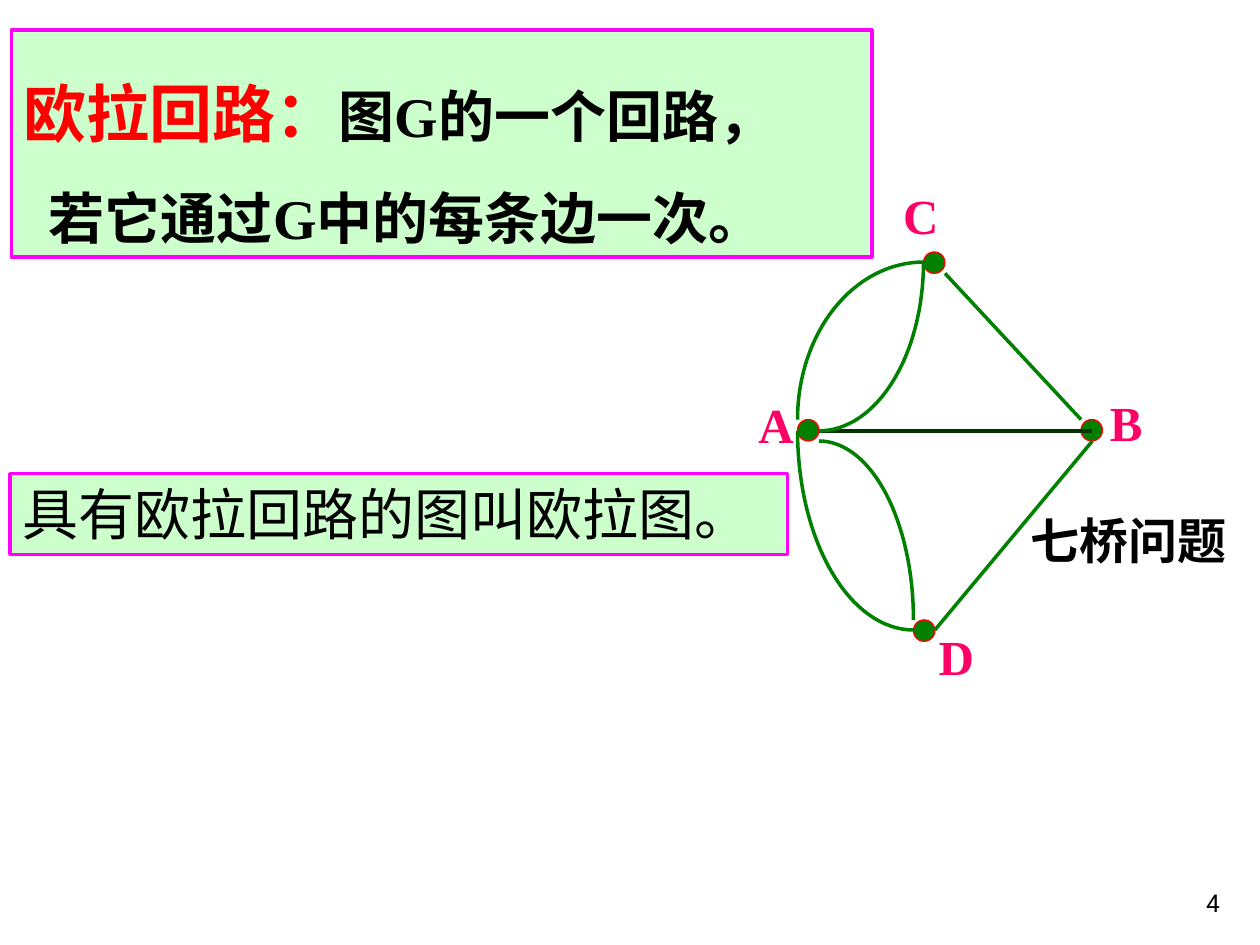
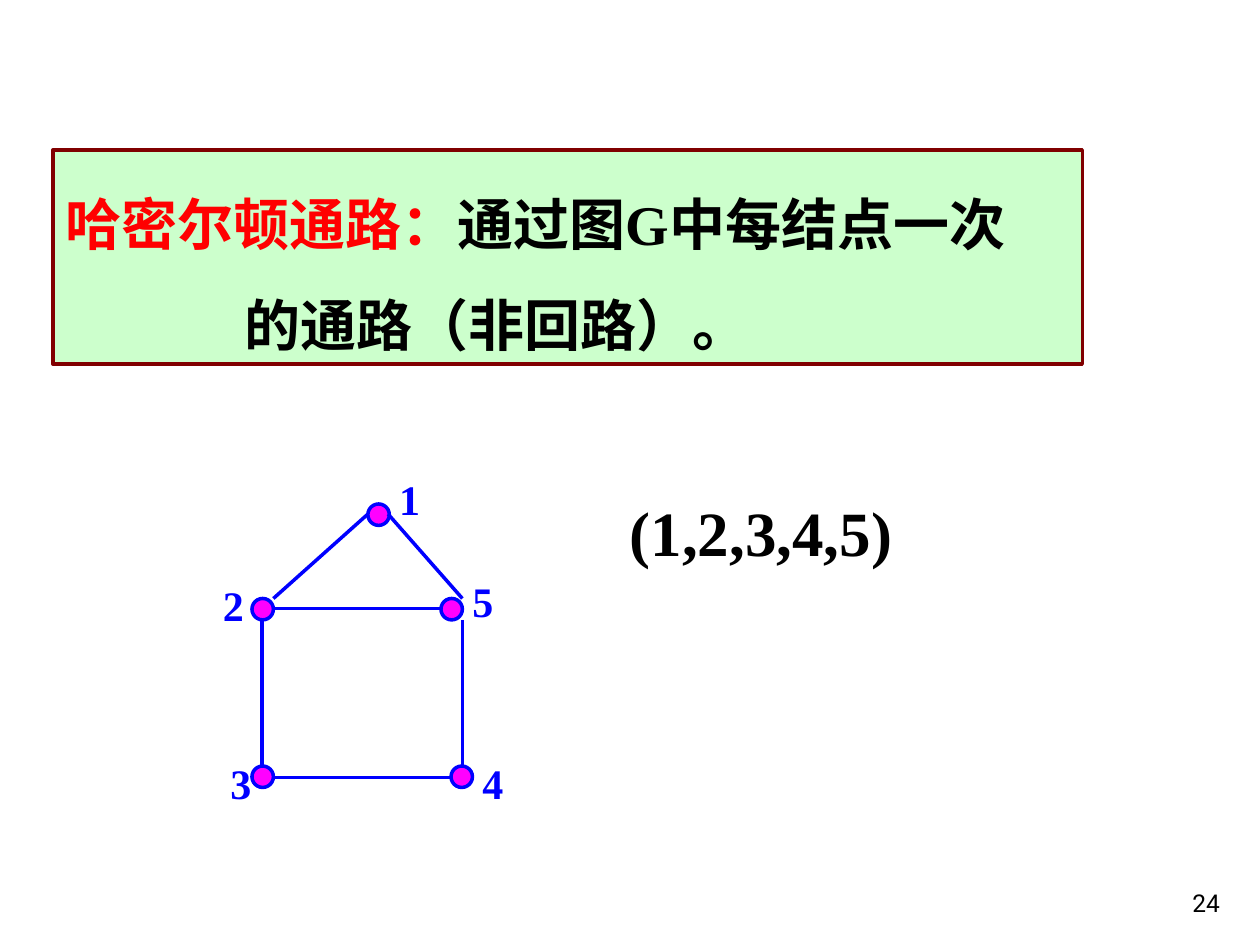
from math import cos, pi, sin

from lxml.etree import SubElement
from pptx import Presentation
from pptx.dml.color import RGBColor
from pptx.enum.shapes import MSO_CONNECTOR, MSO_SHAPE
from pptx.enum.text import MSO_ANCHOR, PP_ALIGN
from pptx.oxml.ns import qn
from pptx.util import Inches, Pt

BLACK = RGBColor(0x00, 0x00, 0x00)
RED = RGBColor(0xFF, 0x00, 0x00)
BLUE = RGBColor(0x00, 0x00, 0xFF)
GREEN = RGBColor(0x00, 0x80, 0x00)
DARK_GREEN = RGBColor(0x00, 0x33, 0x00)
PALE_GREEN = RGBColor(0xCC, 0xFF, 0xCC)
MAGENTA = RGBColor(0xFF, 0x00, 0xFF)
MAROON = RGBColor(0x80, 0x00, 0x00)
PINK = RGBColor(0xFF, 0x00, 0x66)
CHINESE = "Noto Sans CJK SC"
LATIN = "Times New Roman"
NUMBER = "Roboto"
NODE_SIZE = 0.17
ARC_STEPS = 32


def write(frame, lines, size, color=BLACK, name=LATIN, bold=True, wrap=True,
          align=PP_ALIGN.LEFT, anchor=MSO_ANCHOR.TOP, spacing=None, indent=0):
    """Each line is a list of (text, overrides); later lines are indented."""
    frame.word_wrap = wrap
    frame.vertical_anchor = anchor
    for index, line in enumerate(lines):
        para = frame.paragraphs[0] if index == 0 else frame.add_paragraph()
        para.alignment = align
        para.line_spacing = spacing
        para.font.size, para.font.bold, para.font.name = Pt(size), bold, name
        para.font.color.rgb = color
        properties = para._p.get_or_add_pPr()
        if index:
            properties.set("marL", str(Inches(indent)))
        SubElement(properties.find(qn("a:defRPr")), qn("a:ea"), typeface=CHINESE)
        for text, overrides in line:
            span = para.add_run()
            span.text = text
            for key, value in overrides.items():
                if key == "color":
                    span.font.color.rgb = value
                else:
                    setattr(span.font, key, value)


def draw_graph(page, nodes, edges, labels, node_fill, node_line, node_width,
               label_size, label_color):
    for left, top in nodes:
        node = page.shapes.add_shape(MSO_SHAPE.OVAL, Inches(left), Inches(top),
                                     Inches(NODE_SIZE), Inches(NODE_SIZE))
        node.shadow.inherit = False
        node.fill.solid()
        node.fill.fore_color.rgb = node_fill
        node.line.color.rgb = node_line
        node.line.width = Pt(node_width)
    for x1, y1, x2, y2, color in edges:
        edge = page.shapes.add_connector(MSO_CONNECTOR.STRAIGHT, Inches(x1), Inches(y1),
                                         Inches(x2), Inches(y2))
        SubElement(edge._element.spPr, qn("a:effectLst"))
        edge.line.color.rgb = color
        edge.line.width = Pt(2)
    for text, left, top, width, height in labels:
        label = page.shapes.add_textbox(Inches(left), Inches(top), Inches(width), Inches(height))
        write(label.text_frame, [[(text, {})]], label_size, label_color, wrap=False)


deck = Presentation()
deck.slide_width, deck.slide_height = Inches(10), Inches(7.5)
euler_page, hamilton_page = [deck.slides.add_slide(deck.slide_layouts[6]) for _ in range(2)]

# Bridge graph: nodes, straight edges and labels
draw_graph(
    euler_page,
    [(7.25, 4.92), (8.58, 3.33), (6.33, 3.33), (7.33, 2)],
    [(8.58, 3.33, 7.5, 2.17, GREEN), (7.42, 5, 8.67, 3.5, GREEN),
     (6.5, 3.42, 8.67, 3.42, DARK_GREEN)],
    [("C", 7.07, 1.42, 0.48, 0.57), ("D", 7.35, 4.92, 0.48, 0.57),
     ("A", 5.92, 3.08, 0.48, 0.57), ("B", 8.71, 3.07, 0.46, 0.57)],
    GREEN, RED, 0.75, 28, PINK)

# Curved bridges: quarter ellipses from a level end to an upright end
for x1, y1, x2, y2 in [(7.33, 2.08, 6.33, 3.33), (6.5, 3.5, 7.25, 4.92),
                       (6.5, 3.42, 7.33, 2.08), (7.25, 5, 6.33, 3.42)]:
    angles = [pi / 2 * step / ARC_STEPS for step in range(1, ARC_STEPS + 1)]
    points = [(Inches(x1 + (x2 - x1) * sin(angle)), Inches(y1 + (y2 - y1) * (1 - cos(angle))))
              for angle in angles]
    builder = euler_page.shapes.build_freeform(Inches(x1), Inches(y1))
    builder.add_line_segments(points, close=False)
    bridge = builder.convert_to_shape()
    bridge.shadow.inherit = False
    bridge.fill.background()
    bridge.line.color.rgb = GREEN
    bridge.line.width = Pt(2)

caption = euler_page.shapes.add_textbox(Inches(8.08), Inches(4), Inches(1.92), Inches(0.57))
write(caption.text_frame, [[("七桥问题", {})]], 28, name=NUMBER)

# House graph and its Hamilton path
draw_graph(
    hamilton_page,
    [(2.92, 4), (2, 4.75), (3.5, 4.75), (2, 6.08), (3.58, 6.08)],
    [(2.17, 4.75, 2.92, 4.08, BLUE), (2.08, 4.92, 2.08, 6.08, BLUE),
     (2.17, 6.17, 3.58, 6.17, BLUE), (3.67, 4.92, 3.67, 6.08, BLUE),
     (2.17, 4.83, 3.5, 4.83, BLUE), (3.08, 4.08, 3.67, 4.75, BLUE)],
    [("1", 3.07, 3.71, 0.36, 0.5), ("2", 1.67, 4.55, 0.36, 0.5), ("3", 1.73, 5.96, 0.36, 0.5),
     ("4", 3.73, 5.96, 0.36, 0.5), ("5", 3.65, 4.52, 0.36, 0.5)],
    MAGENTA, BLUE, 2, 24, BLUE)

answer = hamilton_page.shapes.add_textbox(Inches(4.9), Inches(3.87), Inches(3.43), Inches(0.7))
write(answer.text_frame, [[("(1,2,3,4,5)", {})]], 36)

# Definition boxes
letter = ("G", {"name": LATIN})
euler_lines = [
    [("欧拉回路：", {"size": Pt(36), "color": RED}), ("图", {}), letter, ("的一个回路，", {})],
    [("若它通过", {}), letter, ("中的每条边一次。", {})],
]
hamilton_lines = [
    [("哈密尔顿通路：", {"color": RED}), ("通过图", {}), letter, ("中每结点一次", {})],
    [("的通路（非回路）。", {})],
]
euler_graph_lines = [[("具有欧拉回路的图叫欧拉图。", {})]]
for page, left, top, width, height, border, lines, bold, spacing, indent in [
    (euler_page, 0.09, 0.24, 6.83, 1.8, MAGENTA, euler_lines, True, 1.5, 0.2),
    (euler_page, 0.08, 3.76, 6.17, 0.64, MAGENTA, euler_graph_lines, False, None, 0),
    (hamilton_page, 0.42, 1.19, 8.17, 1.7, MAROON, hamilton_lines, True, 1.5, 1.42),
]:
    box = page.shapes.add_shape(MSO_SHAPE.RECTANGLE, Inches(left), Inches(top),
                                Inches(width), Inches(height))
    box.shadow.inherit = False
    box.fill.solid()
    box.fill.fore_color.rgb = PALE_GREEN
    box.line.color.rgb = border
    box.line.width = Pt(2)
    write(box.text_frame, lines, 32, name=CHINESE, bold=bold, spacing=spacing, indent=indent)

# Page numbers
for page, number in [(euler_page, "4"), (hamilton_page, "24")]:
    footer = page.shapes.add_textbox(Inches(7.7), Inches(6.83), Inches(2.08), Inches(0.5))
    write(footer.text_frame, [[(number, {})]], 14, name=NUMBER, bold=False,
          align=PP_ALIGN.RIGHT, anchor=MSO_ANCHOR.BOTTOM)

deck.save("out.pptx")
